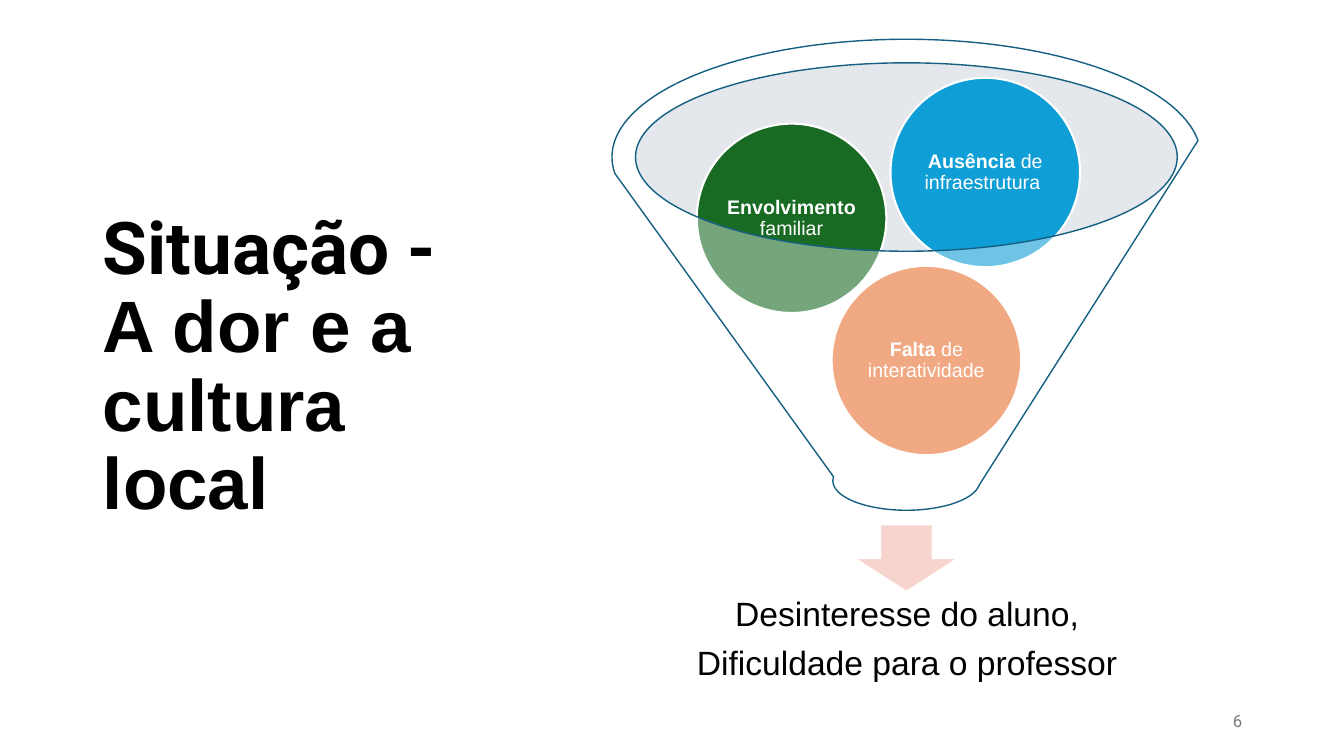
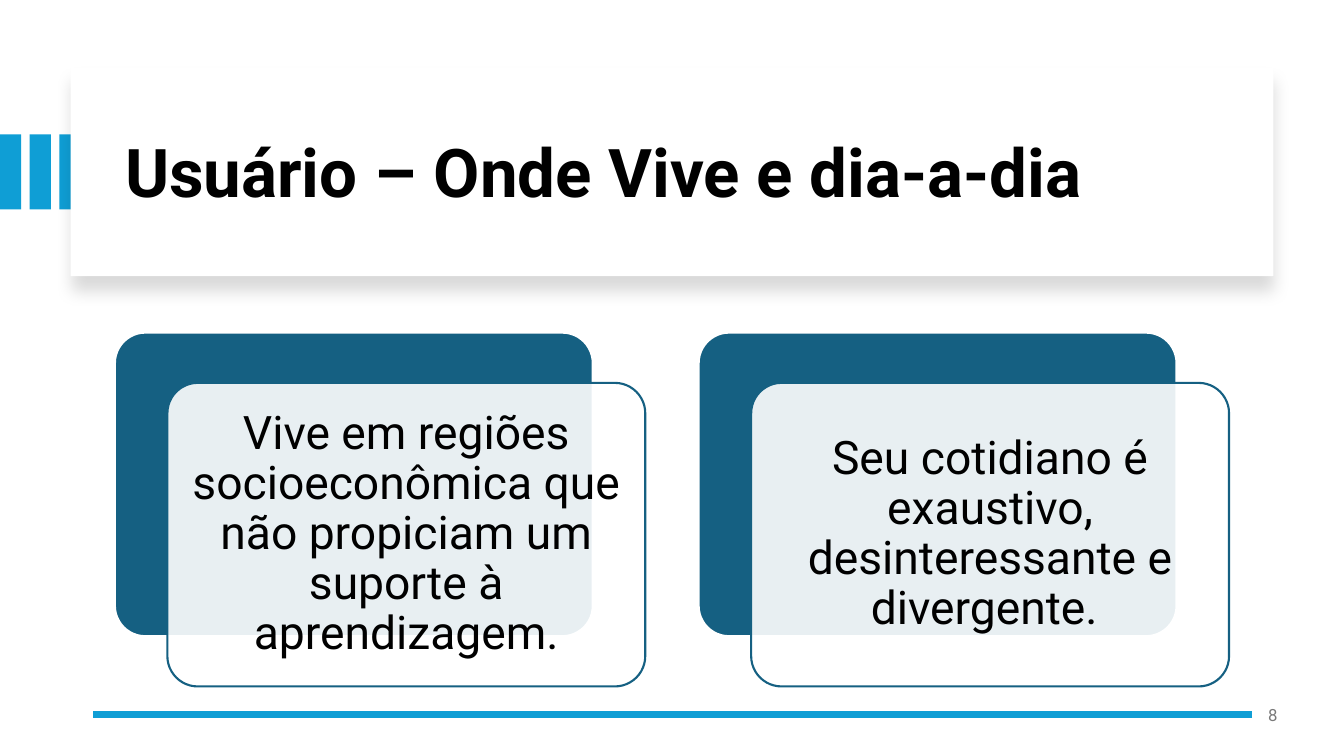
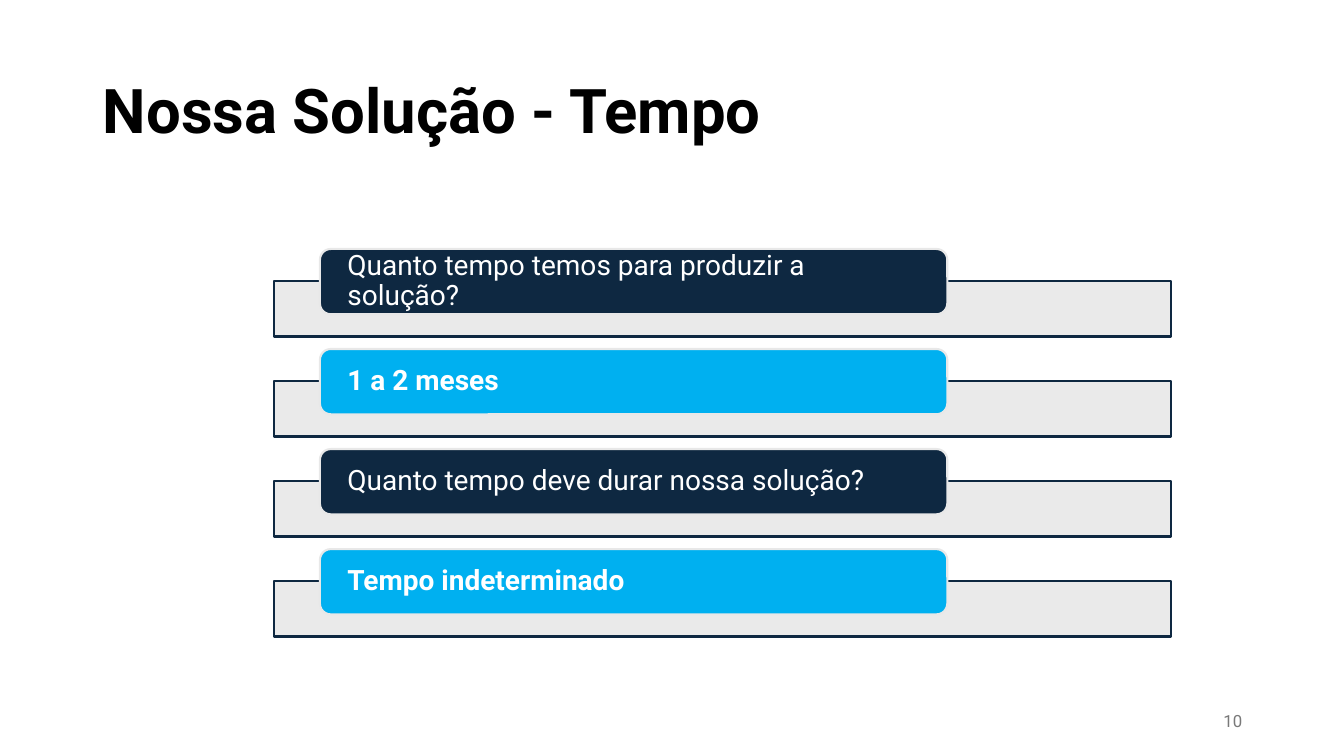
import pptx
import pptx.dml.color
import pptx.enum.shapes
import pptx.enum.text
import pptx.oxml
import pptx.oxml.ns
import pptx.util

SHAPE = pptx.enum.shapes.MSO_SHAPE
ALIGN = pptx.enum.text.PP_ALIGN
PT = pptx.util.Pt

SLIDE_W, SLIDE_H = 13.33, 7.5
WHITE, BLACK, GREY = "FFFFFF", "000000", "797979"
TEAL, BLUE, NAVY, SKY, MIST = "156082", "0F9ED5", "0E2841", "00B0F0", "E8E8E8"
GREEN, ORANGE, ROSE, STEEL = "196B24", "E97132", "F7D5CE", "BDC5CD"
FONT, ALT_FONT = "Roboto", "Arial"


def rgb(color):
    return pptx.dml.color.RGBColor.from_string(color)


def emu(box):
    return [pptx.util.Inches(v) for v in box]


def inner(box, x, y, w, h):
    """Return the part of a box given in percent of its width and height."""
    left, top, width, height = box
    return (left + width * x / 100, top + height * y / 100,
            width * w / 100, height * h / 100)


def write(tf, paragraphs, size, color, font=FONT, align=ALIGN.LEFT,
          margins=(0.1, 0.05), spacing=0.9, after=0):
    """Fill a text frame; a paragraph is a list of (text, bold[, font])."""
    tf.word_wrap = True
    tf.auto_size = pptx.enum.text.MSO_AUTO_SIZE.NONE
    tf.vertical_anchor = pptx.enum.text.MSO_ANCHOR.MIDDLE
    tf.margin_left = tf.margin_right = pptx.util.Inches(margins[0])
    tf.margin_top = tf.margin_bottom = pptx.util.Inches(margins[1])
    for i, runs in enumerate(paragraphs):
        p = tf.add_paragraph() if i else tf.paragraphs[0]
        p.alignment, p.line_spacing = align, spacing
        p.space_before, p.space_after = PT(0), PT(after)
        for text, bold, *other in runs:
            r = p.add_run()
            r.text = text
            r.font.name = other[0] if other else font
            r.font.size, r.font.bold = PT(size), bold
            r.font.color.rgb = rgb(color)


def add_shape(s, kind, box, fill, line=None, width=1.5, alpha=None, adj=None):
    sp = s.shapes.add_shape(kind, *emu(box))
    sp.shadow.inherit = False
    sp.fill.solid()
    sp.fill.fore_color.rgb = rgb(fill)
    if alpha is not None:
        clr = sp.fill._xPr.find(".//" + pptx.oxml.ns.qn("a:srgbClr"))
        clr.append(pptx.oxml.parse_xml(
            f'<a:alpha {pptx.oxml.ns.nsdecls("a")} val="{alpha * 1000}"/>'))
    if line:
        sp.line.color.rgb = rgb(line)
        sp.line.width = PT(width)
    else:
        sp.line.fill.background()
    if adj is not None:
        sp.adjustments[0] = adj
    return sp


def add_text(s, box, paragraphs, size, color, **style):
    tb = s.shapes.add_textbox(*emu(box))
    write(tb.text_frame, paragraphs, size, color, **style)


def add_slide(prs):
    return prs.slides.add_slide(prs.slide_layouts[5])


def set_title(s, box, runs, size):
    title = s.shapes.title
    title.left, title.top, title.width, title.height = emu(box)
    write(title.text_frame, [runs], size, BLACK)
    s.shapes._spTree.append(title._element)


def page_number(s, number, left=9.42, top=6.95):
    add_text(s, (left, top, 3, 0.4), [[(number, False)]], 12, GREY,
             align=ALIGN.RIGHT, spacing=1)


def drop_shadow(sp):
    effects = sp._element.spPr.find(pptx.oxml.ns.qn("a:effectLst"))
    effects.append(pptx.oxml.parse_xml(
        f'<a:outerShdw {pptx.oxml.ns.nsdecls("a")} blurRad="{PT(11)}" '
        f'dist="{PT(10)}" dir="5400000" algn="t" rotWithShape="0">'
        '<a:srgbClr val="000000"><a:alpha val="15000"/></a:srgbClr>'
        '</a:outerShdw>'))


def funnel(s, box, causes, outcome):
    """Draw causes as balls in a funnel, with the outcome beneath."""
    add_shape(s, SHAPE.OVAL, inner(box, 3.9, 3.5, 92.1, 28.4), STEEL, alpha=40)
    add_shape(s, SHAPE.DOWN_ARROW, inner(box, 41.1, 73, 17.8, 10.2), ROSE, WHITE)
    add_text(s, inner(box, 7.2, 81, 85.8, 19),
             [[(line, False)] for line in outcome], 24, BLACK, font=ALT_FONT,
             align=ALIGN.CENTER, margins=(0.19, 0.19), after=9)
    for x, y, color, strong, rest in causes:
        ball = add_shape(s, SHAPE.OVAL, inner(box, x, y, 32.2, 28.5), color, WHITE)
        write(ball.text_frame, [[(strong, True), (rest, False)]], 14, WHITE,
              font=ALT_FONT, align=ALIGN.CENTER, margins=(0.02, 0.02))
    add_shape(s, SHAPE.FUNNEL, inner(box, 0, 0, 100, 70.9), WHITE, TEAL, 1, alpha=40)


def title_panel(s, box):
    """Draw a raised panel with stripes running in from the slide edge."""
    left, top, _, height = box
    for i in range(3):
        add_shape(s, SHAPE.RECTANGLE,
                  (i * 0.42 * left, top + 0.32 * height, 0.3 * left, 0.36 * height),
                  BLUE)
    drop_shadow(add_shape(s, SHAPE.RECTANGLE, box, WHITE))


def base_rule(s, left, right, y):
    rule = s.shapes.add_connector(pptx.enum.shapes.MSO_CONNECTOR.STRAIGHT,
                                  *emu((right, y, left, y)))
    rule.line.color.rgb = rgb(BLUE)
    rule.line.width = PT(4.5)
    rule._element.spPr.append(pptx.oxml.parse_xml(
        f'<a:effectLst {pptx.oxml.ns.nsdecls("a")}/>'))


def layered_card(s, box, text):
    add_shape(s, SHAPE.ROUNDED_RECTANGLE, inner(box, 0, 0, 90.1, 85.8),
              TEAL, WHITE, adj=0.1)
    front = add_shape(s, SHAPE.ROUNDED_RECTANGLE, inner(box, 9.9, 14.2, 90.1, 85.8),
                      WHITE, TEAL, alpha=90, adj=0.1)
    write(front.text_frame, [[(text, False)]], 33, BLACK,
          align=ALIGN.CENTER, margins=(0.14, 0.14))


def question_list(s, box, rows):
    """Stack rows of a framed bar with a label on its upper edge."""
    share = 100 / len(rows)
    for i, (text, is_answer) in enumerate(rows):
        row = inner(box, 0, i * share, 100, share)
        add_shape(s, SHAPE.RECTANGLE, inner(row, 0, 32.2, 100, 55.3),
                  MIST, NAVY, alpha=90)
        label = add_shape(s, SHAPE.ROUNDED_RECTANGLE, inner(row, 5.1, 0, 70, 65.3),
                          SKY if is_answer else NAVY, MIST)
        write(label.text_frame, [[(text, is_answer)]], 20, WHITE,
              margins=(0.24, 0))


def situation_slide(prs):
    s = add_slide(prs)
    set_title(s, (0.92, 0.61, 3.69, 6.09),
              [("Situação - ", True), ("A dor e a cultura local", True, ALT_FONT)], 52)
    funnel(s, (6.07, 0.39, 5.84, 6.59),
           [(37.3, 34.1, ORANGE, "Falta", " de interatividade"),
            (14.4, 12.7, GREEN, "Envolvimento", " familiar"),
            (47.3, 5.8, BLUE, "Ausência", " de infraestrutura ")],
           ["Desinteresse do aluno,", "Dificuldade para o professor"])
    page_number(s, "6")


def user_slide(prs):
    s = add_slide(prs)
    title_panel(s, (0.7, 0.67, 11.93, 2.07))
    set_title(s, (1.14, 0.89, 11.13, 1.7),
              [("Usuário – Onde Vive e dia-a-dia", True)], 48)
    base_rule(s, 0.92, 12.42, 7.09)
    cards = ["Vive em regiões socioeconômica que não propiciam um suporte à "
             "aprendizagem.",
             "Seu cotidiano é exaustivo, desinteressante e divergente. "]
    for i, text in enumerate(cards):
        layered_card(s, (1.14 + i * 5.79, 3.3, 5.26, 3.51), text)
    page_number(s, "8", 9.77, 6.89)


def time_slide(prs):
    s = add_slide(prs)
    set_title(s, (0.92, 0.4, 11.5, 1.45), [("Nossa Solução - Tempo", True)], 44)
    question_list(s, (2.72, 2.47, 8.89, 3.97),
                  [("Quanto tempo temos para produzir a solução?", False),
                   ("1 a 2 meses", True),
                   ("Quanto tempo deve durar nossa solução?", False),
                   ("Tempo indeterminado", True)])
    page_number(s, "10")


def main():
    prs = pptx.Presentation()
    prs.slide_width, prs.slide_height = emu((SLIDE_W, SLIDE_H))
    situation_slide(prs)
    user_slide(prs)
    time_slide(prs)
    prs.save("out.pptx")


if __name__ == "__main__":
    main()
